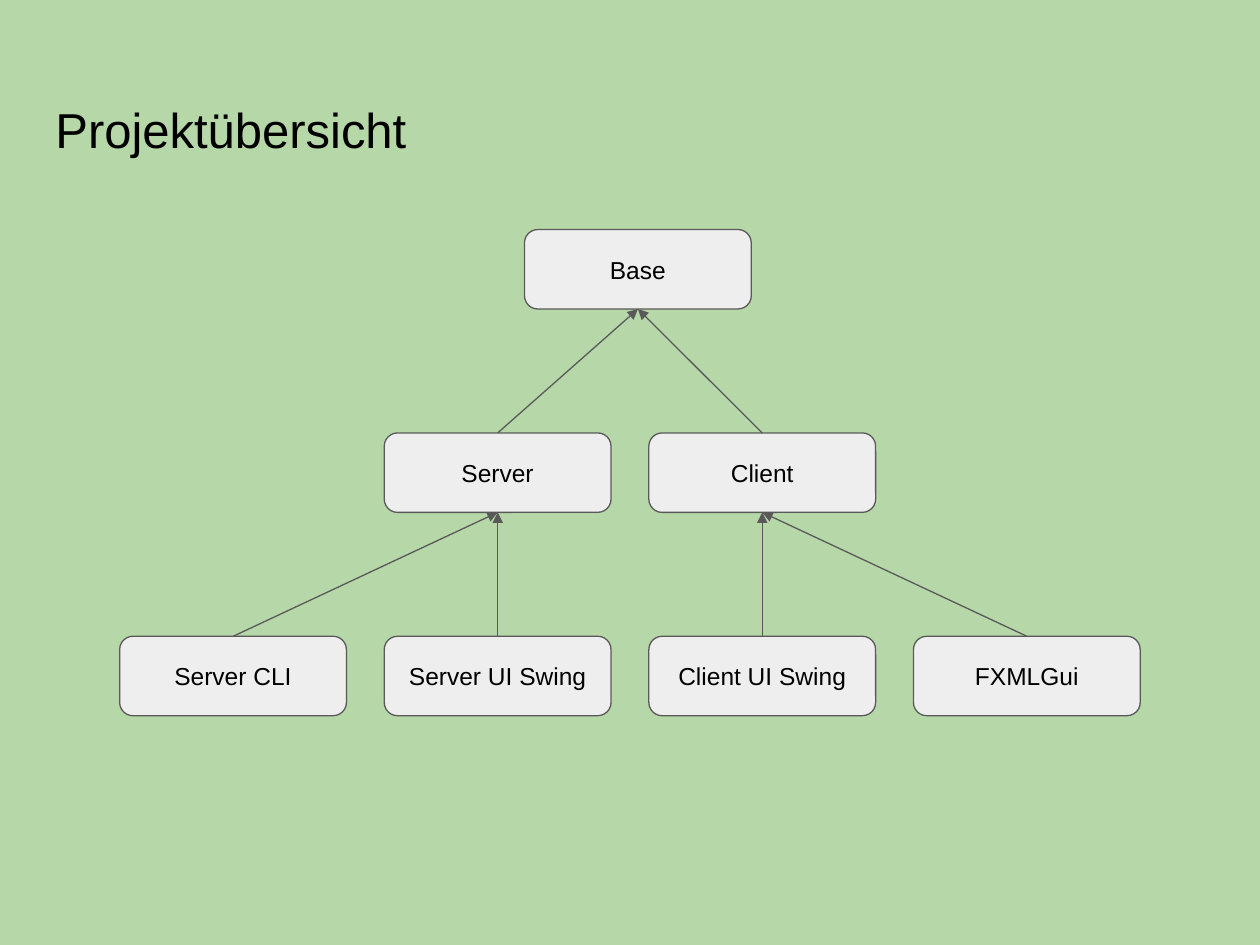
from dataclasses import dataclass

from lxml.etree import SubElement
from pptx import Presentation
from pptx.dml.color import RGBColor
from pptx.enum.shapes import MSO_CONNECTOR, MSO_SHAPE
from pptx.enum.text import MSO_ANCHOR, MSO_AUTO_SIZE, PP_ALIGN
from pptx.oxml.ns import qn
from pptx.util import Pt


@dataclass(frozen=True)
class Theme:
    background: RGBColor = RGBColor(0xB6, 0xD7, 0xA8)
    box: RGBColor = RGBColor(0xEE, 0xEE, 0xEE)
    line: RGBColor = RGBColor(0x59, 0x59, 0x59)
    text: RGBColor = RGBColor(0, 0, 0)
    font: str = "Arial"
    title_size: int = 28
    box_size: int = 14
    line_width: float = 0.75


class Deck:
    def __init__(self, theme, width, height):
        self.theme = theme
        self.prs = Presentation()
        self.apply(self.prs, {"slide_width": Pt(width), "slide_height": Pt(height)})
        self.s = None

    def apply(self, target, values):
        for name, value in values.items():
            setattr(target, name, value)

    def add_slide(self):
        self.s = self.prs.slides.add_slide(self.prs.slide_layouts[5])
        self.fill(self.s.background, self.theme.background)

    def fill(self, target, color):
        target.fill.solid()
        target.fill.fore_color.rgb = color

    def outline(self, sp):
        sp.line.color.rgb = self.theme.line
        sp.line.width = Pt(self.theme.line_width)

    def set_text(self, sp, text, size, align, anchor, inset_top):
        tf = sp.text_frame
        self.apply(tf, {
            "word_wrap": True,
            "auto_size": MSO_AUTO_SIZE.NONE,
            "vertical_anchor": anchor,
            "margin_left": Pt(7.2),
            "margin_right": Pt(7.2),
            "margin_top": Pt(inset_top),
            "margin_bottom": Pt(7.2),
        })
        p = tf.paragraphs[0]
        p.alignment = align
        r = p.add_run()
        r.text = text
        self.apply(r.font, {"name": self.theme.font, "size": Pt(size)})
        r.font.color.rgb = self.theme.text

    def title(self, text, left, top, width, height):
        sp = self.s.shapes.title
        self.apply(sp, {"left": Pt(left), "top": Pt(top),
                        "width": Pt(width), "height": Pt(height)})
        self.set_text(sp, text, self.theme.title_size, PP_ALIGN.LEFT, MSO_ANCHOR.TOP, 10)

    def box(self, text, left, top, width, height):
        sp = self.s.shapes.add_shape(
            MSO_SHAPE.ROUNDED_RECTANGLE, Pt(left), Pt(top), Pt(width), Pt(height))
        sp.shadow.inherit = False
        self.fill(sp, self.theme.box)
        self.outline(sp)
        self.set_text(sp, text, self.theme.box_size, PP_ALIGN.CENTER, MSO_ANCHOR.MIDDLE, 7.2)
        return sp

    def arrow(self, child, parent):
        cx = self.s.shapes.add_connector(MSO_CONNECTOR.STRAIGHT, 0, 0, 0, 0)
        cx.begin_connect(child, 0)
        cx.end_connect(parent, 2)
        self.outline(cx)
        sp_pr = cx._element.spPr
        SubElement(sp_pr.find(qn("a:ln")), qn("a:tailEnd"),
                   type="triangle", w="med", len="med")
        SubElement(sp_pr, qn("a:effectLst"))


def main():
    deck = Deck(Theme(), 720, 540)
    deck.add_slide()
    deck.title("Projektübersicht", 24.5, 46.8, 671, 59.8)

    left, top, column_step, row_step = 68.4, 131.2, 151.2, 116.2
    modules = [
        ("Base", 1.53, 0, None),
        ("Server", 1, 1, "Base"),
        ("Client", 2, 1, "Base"),
        ("Server CLI", 0, 2, "Server"),
        ("Server UI Swing", 1, 2, "Server"),
        ("Client UI Swing", 2, 2, "Client"),
        ("FXMLGui", 3, 2, "Client"),
    ]
    boxes = {
        name: deck.box(name, left + column * column_step, top + row * row_step, 129.6, 45.4)
        for name, column, row, _ in modules
    }
    for name, _, _, parent in modules:
        if parent:
            deck.arrow(boxes[name], boxes[parent])

    deck.prs.save("out.pptx")


if __name__ == "__main__":
    main()
